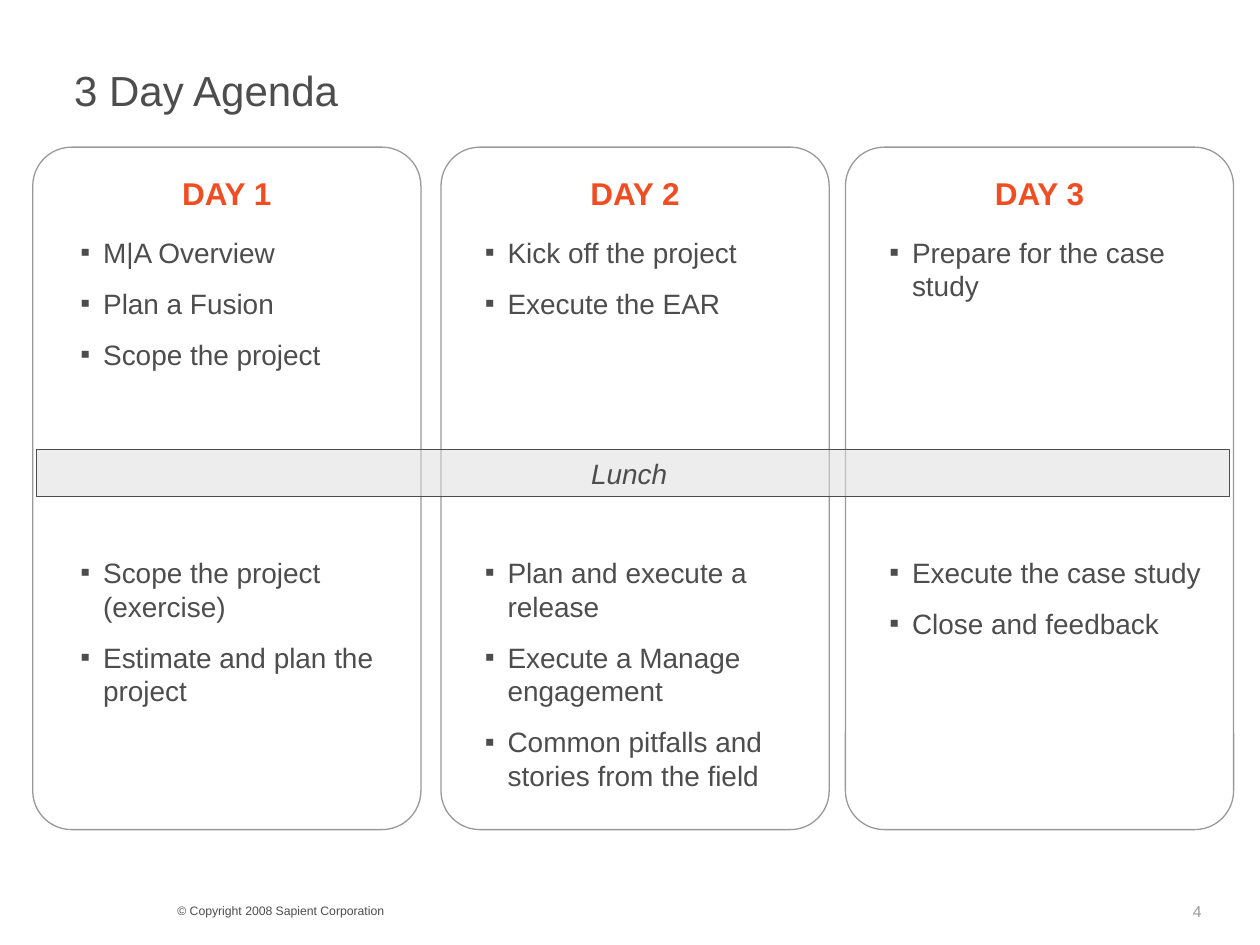
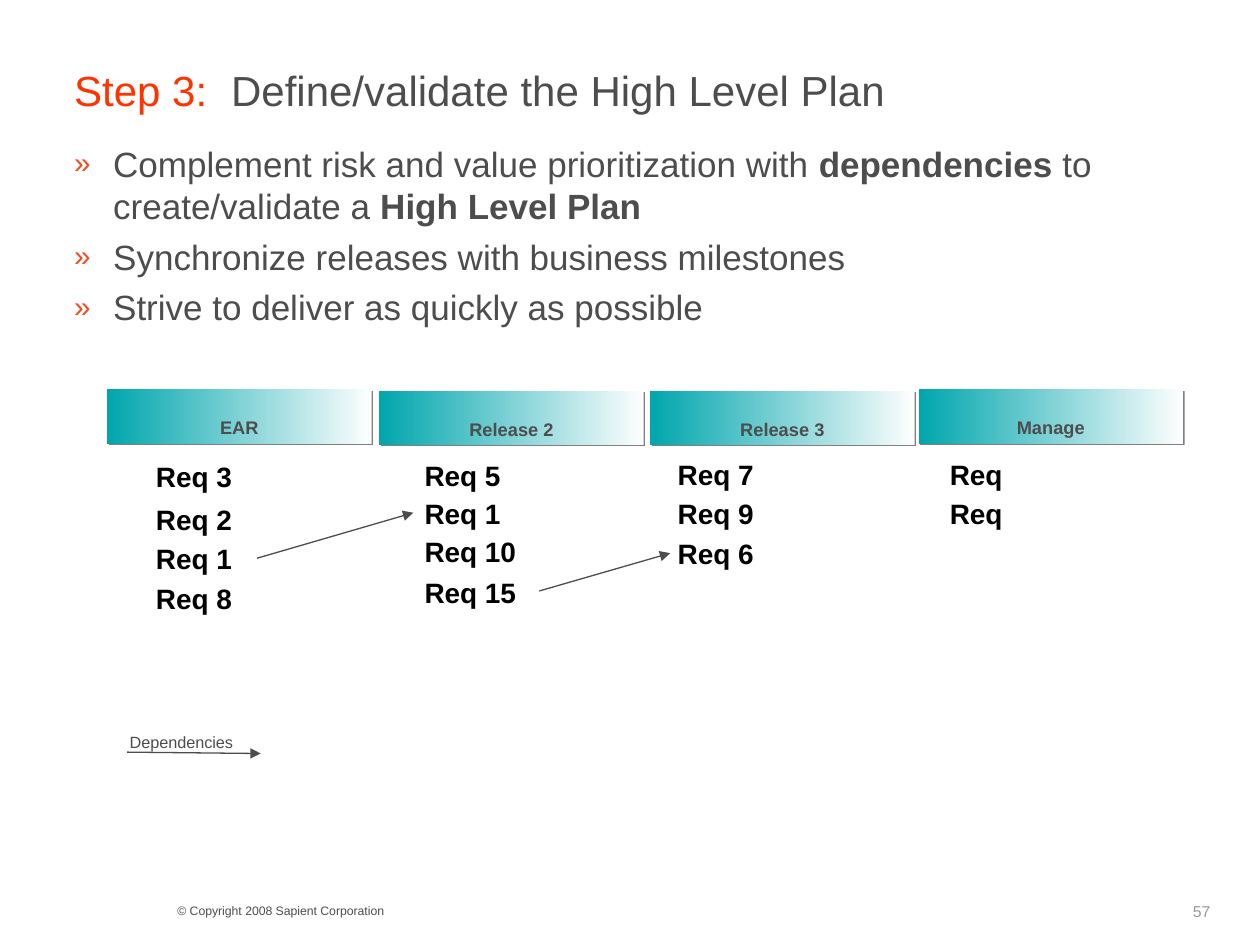
from dataclasses import dataclass

from lxml import etree
from pptx import Presentation
from pptx import util as u
from pptx.dml import color
from pptx.enum import shapes, text
from pptx.oxml import ns

COPYRIGHT = "© Copyright 2008 Sapient Corporation"

AGENDA = {
    "title": [("3 Day Agenda", "ink")],
    "page": "4",
    "break": "Lunch ",
    "days": [
        {"name": "DAY 1", "left": 18.72,
         "morning": (["M|A Overview", "Plan a Fusion", "Scope the project"], 143.3),
         "afternoon": (["Scope the project (exercise)",
                        "Estimate and plan the project"], 94.3)},
        {"name": "DAY 2", "left": 252,
         "morning": (["Kick off the project", "Execute the EAR"], 55.4),
         "afternoon": (["Plan and execute a release", "Execute a Manage engagement",
                        "Common pitfalls and stories from the field"], 142.6)},
        {"name": "DAY 3", "left": 483.12,
         "morning": (["Prepare for the case study"], 46.1),
         "afternoon": (["Execute the case study", "Close and feedback"], 55.4)},
    ],
}

PLAN = {
    "title": [("Step 3:", "step"), ("\tDefine/validate the High Level Plan", "ink")],
    "page": "57",
    "points": [
        [("Complement risk and value prioritization with ", False),
         ("dependencies ", True),
         ("to create/validate a ", False),
         ("High Level Plan", True)],
        [("Synchronize releases with business milestones", False)],
        [("Strive to deliver as quickly as possible", False)],
    ],
    "releases": [
        {"name": "EAR", "at": (61.2, 222.5), "req_left": 82, "width": 115,
         "reqs": [("Req 3", 259.2), ("Req 2", 283.7), ("Req 1", 306), ("Req 8", 329)]},
        {"name": "Release 2", "at": (216.72, 223.2), "req_left": 235.5, "width": 118,
         "reqs": [("Req 5", 258.5), ("Req 1", 280.1), ("Req 10", 301.7), ("Req 15", 325.4)]},
        {"name": "Release 3", "at": (371.52, 223.2), "req_left": 380.2, "width": 133,
         "reqs": [("Req 7", 257.8), ("Req 9", 280.1), ("Req 6", 303.1)]},
        {"name": "Manage", "at": (524.88, 222.5), "req_left": 535.7, "width": 128,
         "reqs": [("Req", 257.8), ("Req", 280.1)]},
    ],
    "legend": "Dependencies",
    "arrows": [(146.9, 319, 236.2, 293), (308.2, 337.7, 383, 316.1), (72.7, 429.8, 149, 430.6)],
}


@dataclass(frozen=True)
class Theme:
    font: str = "Arial"
    ink: str = "4D4D4D"
    step: str = "FF3300"
    accent: str = "F04E22"
    muted: str = "999999"
    black: str = "000000"
    band: str = "DDDDDD"
    teal: str = "00A6AD"
    pale: str = "FEFEFE"
    shadow: str = "808080"
    title_size: float = 24
    point_size: float = 20
    head_size: float = 18
    body_size: float = 16
    page_size: float = 9
    copyright_size: float = 7
    line: float = 0.75


THEME = Theme()


def rgb(value):
    return color.RGBColor.from_string(value)


def add_xml(parent, tag, **attributes):
    return etree.SubElement(parent, ns.qn(tag), attributes)


def style(paragraph, size, ink=THEME.ink, bold=False, italic=False):
    font = paragraph.font
    font.name, font.size, font.color.rgb = THEME.font, u.Pt(size), rgb(ink)
    font.bold, font.italic = bold, italic


def write(paragraph, words, size, ink=THEME.ink, **look):
    paragraph.add_run().text = words
    style(paragraph, size, ink, **look)


def subscript(paragraph):
    for run in paragraph.runs:
        run._r.get_or_add_rPr().set("baseline", "-25000")


def add_bullet(paragraph, mark, ink, indent, percent):
    properties = paragraph._p.get_or_add_pPr()
    properties.set("marL", str(u.Pt(indent)))
    properties.set("indent", str(-u.Pt(indent)))
    add_xml(add_xml(properties, "a:buClr"), "a:srgbClr", val=ink)
    add_xml(properties, "a:buSzPct", val=str(percent * 1000))
    add_xml(properties, "a:buFont", typeface=THEME.font)
    add_xml(properties, "a:buChar", char=mark)


def text_box(slide, left, top, width, height):
    frame = slide.shapes.add_textbox(*map(u.Pt, (left, top, width, height))).text_frame
    frame.word_wrap = True
    return frame


def add_label(slide, words, place, size, ink=THEME.ink, **look):
    paragraph = text_box(slide, *place).paragraphs[0]
    write(paragraph, words, size, ink, **look)
    return paragraph


def paragraphs_for(frame, items, gap):
    for index, item in enumerate(items):
        paragraph = frame.add_paragraph() if index else frame.paragraphs[0]
        if index:
            paragraph.space_before = u.Pt(gap)
        yield paragraph, item


def add_panel(slide, kind, left, top, width, height, line=None):
    panel = slide.shapes.add_shape(kind, *map(u.Pt, (left, top, width, height)))
    panel.shadow.inherit = False
    if line:
        panel.line.color.rgb = rgb(line)
        panel.line.width = u.Pt(THEME.line)
    else:
        panel.line.fill.background()
    return panel


def add_arrow(slide, *ends):
    arrow = slide.shapes.add_connector(shapes.MSO_CONNECTOR.STRAIGHT, *map(u.Pt, ends))
    arrow.line.color.rgb = rgb(THEME.ink)
    arrow.line.width = u.Pt(THEME.line)
    add_xml(arrow.line._get_or_add_ln(), "a:tailEnd", type="triangle")
    add_xml(arrow._element.spPr, "a:effectLst")


def start_slide(deck, content):
    slide = deck.slides.add_slide(deck.slide_layouts[6])
    add_label(slide, COPYRIGHT, (94.3, 512.6, 288, 15.8), THEME.copyright_size)
    add_label(slide, content["page"], (674.6, 511.6, 54, 17.3), THEME.page_size, THEME.muted)
    frame = text_box(slide, 35.3, 31.7, 648.7, 39.6)
    frame.vertical_anchor = text.MSO_ANCHOR.MIDDLE
    title = frame.paragraphs[0]
    if len(content["title"]) > 1:
        tabs = add_xml(title._p.get_or_add_pPr(), "a:tabLst")
        add_xml(tabs, "a:tab", pos=str(u.Pt(89.7)), algn="l")
    for words, ink in content["title"]:
        run = title.add_run()
        run.text = words
        run.font.color.rgb = rgb(getattr(THEME, ink))
    style(title, THEME.title_size)
    return slide


def add_sessions(slide, sessions, left, top):
    topics, height = sessions
    frame = text_box(slide, left, top, 203.8, height)
    for paragraph, topic in paragraphs_for(frame, topics, 10):
        add_bullet(paragraph, "▪", THEME.ink, 13, 100)
        write(paragraph, topic, THEME.body_size)


def build_agenda(deck):
    slide = start_slide(deck, AGENDA)
    for day in AGENDA["days"]:
        card = add_panel(slide, shapes.MSO_SHAPE.ROUNDED_RECTANGLE,
                         day["left"], 84.1, 221.8, 390, THEME.muted)
        card.adjustments[0] = 0.1
        card.fill.background()
        name = add_label(slide, day["name"], (day["left"], 95.8, 221.8, 29.5),
                         THEME.head_size, THEME.accent, bold=True)
        name.alignment = text.PP_ALIGN.CENTER
        name.line_spacing = 1.01

    lunch = add_panel(slide, shapes.MSO_SHAPE.RECTANGLE, 20.9, 257, 681.8, 26.6, THEME.ink)
    lunch.fill.solid()
    lunch.fill.fore_color.rgb = rgb(THEME.band)
    tint = lunch._element.spPr.find(ns.qn("a:solidFill")).find(ns.qn("a:srgbClr"))
    add_xml(tint, "a:alpha", val="50000")
    lunch.text_frame.vertical_anchor = text.MSO_ANCHOR.MIDDLE
    caption = lunch.text_frame.paragraphs[0]
    caption.alignment = text.PP_ALIGN.CENTER
    write(caption, AGENDA["break"], THEME.body_size, italic=True)

    for column, day in enumerate(AGENDA["days"]):
        left = 38.88 + column * 231.12
        add_sessions(slide, day["morning"], left, 131)
        add_sessions(slide, day["afternoon"], left, 313.9)


def add_release_header(slide, release):
    header = add_panel(slide, shapes.MSO_SHAPE.RECTANGLE, *release["at"], 151.2, 31)
    header.fill.gradient()
    header.fill.gradient_angle = 180
    for stop, ink in zip(header.fill.gradient_stops, (THEME.pale, THEME.teal)):
        stop.color.rgb = rgb(ink)
    effects = header._element.spPr.find(ns.qn("a:effectLst"))
    shadow = add_xml(effects, "a:outerShdw", blurRad="0", dist=str(u.Pt(1.4)),
                     dir="2700000", algn="ctr", rotWithShape="0")
    add_xml(shadow, "a:srgbClr", val=THEME.shadow)
    header.text_frame.word_wrap = False
    header.text_frame.vertical_anchor = text.MSO_ANCHOR.TOP
    name = header.text_frame.paragraphs[0]
    name.alignment = text.PP_ALIGN.CENTER
    write(name, release["name"], THEME.head_size, bold=True)
    subscript(name)


def build_plan(deck):
    slide = start_slide(deck, PLAN)
    points = text_box(slide, 35.3, 77.8, 648, 406.8)
    for paragraph, pieces in paragraphs_for(points, PLAN["points"], 5):
        add_bullet(paragraph, "»", THEME.accent, 22.3, 85)
        for words, bold in pieces:
            run = paragraph.add_run()
            run.text = words
            if bold:
                run.font.bold = True
        style(paragraph, THEME.point_size)

    for release in PLAN["releases"]:
        add_release_header(slide, release)
        for req, top in release["reqs"]:
            add_label(slide, req, (release["req_left"], top, release["width"], 26.6),
                      THEME.body_size, THEME.black, bold=True)

    subscript(add_label(slide, PLAN["legend"], (67, 403.9, 170, 29.5), THEME.body_size))
    for ends in PLAN["arrows"]:
        add_arrow(slide, *ends)


def main():
    deck = Presentation()
    deck.slide_width, deck.slide_height = u.Pt(720), u.Pt(540)
    build_agenda(deck)
    build_plan(deck)
    deck.save("out.pptx")


if __name__ == "__main__":
    main()
